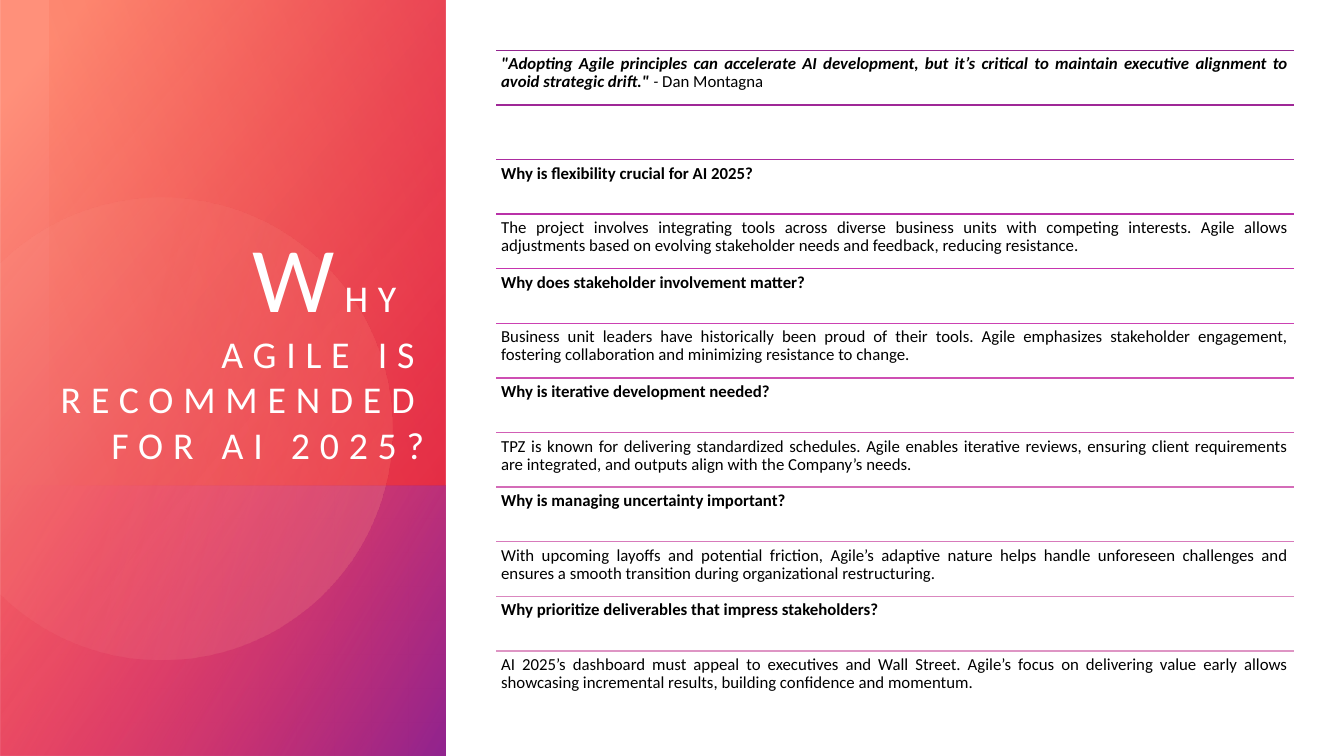
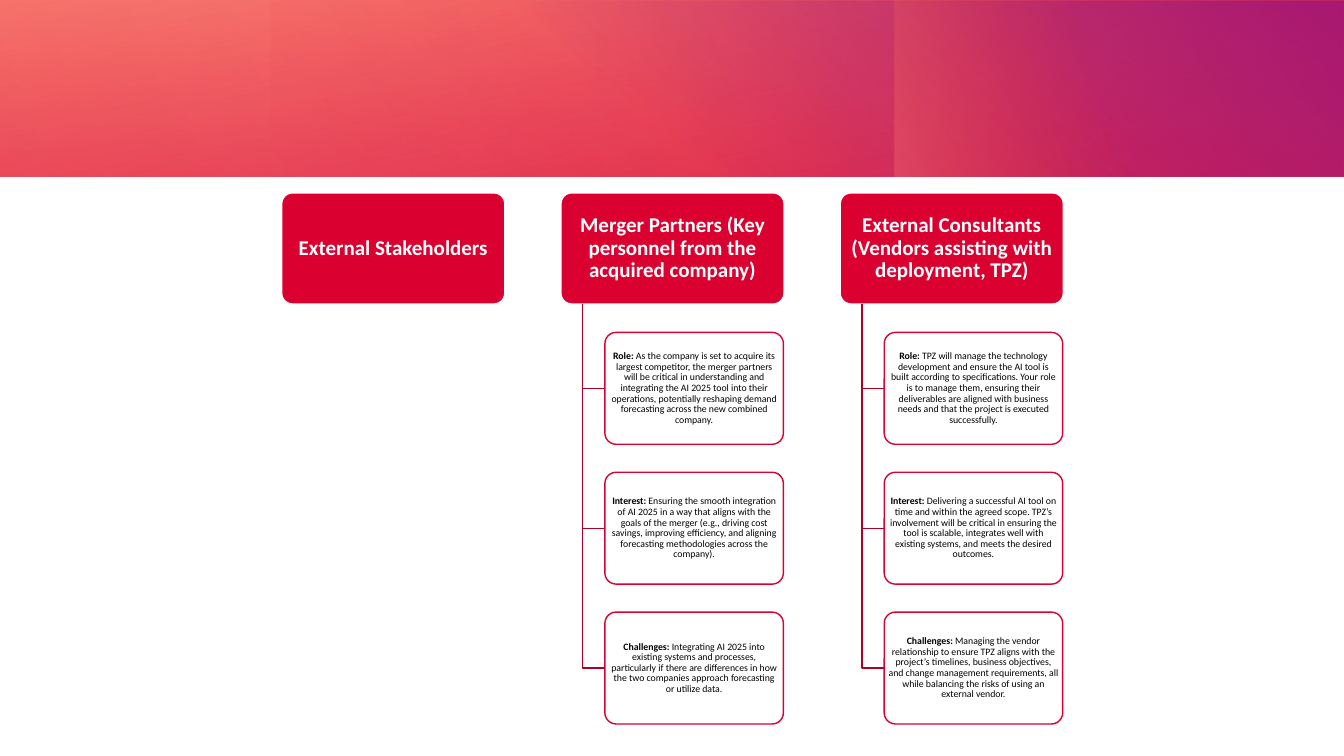
from dataclasses import dataclass
from math import acos, cos, pi, sin
from typing import NamedTuple

from lxml.etree import SubElement
from pptx import Presentation
from pptx.dml.color import RGBColor
from pptx.enum.shapes import MSO_CONNECTOR as Connector, MSO_SHAPE as Preset
from pptx.enum.text import MSO_ANCHOR as Anchor, PP_ALIGN as Align
from pptx.oxml.ns import qn
from pptx.util import Inches, Pt


@dataclass(frozen=True)
class Theme:
    font: str = "Calibri"
    white: str = "FFFFFF"
    black: str = "000000"
    red: str = "DA002F"
    dark_red: str = "AF0026"
    coral: str = "FF907A"
    pink: str = "FF5076"
    peach: str = "FFBCAF"
    orange: str = "FE4A00"
    purple: str = "92248E"
    initial_size: float = 66
    title_size: float = 27
    body_size: float = 12
    header_size: float = 15
    note_size: float = 7
    title_tracking: int = 700


THEME = Theme()


class Stop(NamedTuple):
    position: int
    color: str
    opacity: int = 100


class Panel(NamedTuple):
    left: float
    top: float
    width: float
    height: float
    angle: int
    start: Stop
    end: Stop
    rotation: int = 0
    flipped: bool = False


class Span(NamedTuple):
    text: str
    bold: bool = False
    italic: bool = False


class Row(NamedTuple):
    rule_color: str
    spans: tuple[Span, ...] = ()


class Column(NamedTuple):
    header: str
    notes: tuple[tuple[str, str], ...] = ()


# Content of the question slide
SIDE_PANELS = (
    Panel(-1.54, 1.54, 7.5, 4.42, 50, Stop(8, THEME.coral), Stop(100, THEME.red, 89), 270, True),
    Panel(0.86, 3.95, 2.69, 4.42, 60, Stop(0, THEME.pink, 0), Stop(99, THEME.purple), 270, True),
)
SIDE_GLOW = Panel(0.05, 0.45, 4.81, 3.92, 110, Stop(0, THEME.red, 29),
                  Stop(100, THEME.orange, 0), 90, True)

ROWS = (
    Row(THEME.purple, (
        Span('"Adopting Agile principles can accelerate AI development, but it’s critical to '
             'maintain executive alignment to avoid strategic drift." ', True, True),
        Span("- ", False, True),
        Span("Dan Montagna"))),
    Row("9F2897"),
    Row("AC2CA0", (Span("Why is flexibility crucial for AI 2025?", True),)),
    Row("B931A8", (Span(
        "The project involves integrating tools across diverse business units with competing "
        "interests. Agile allows adjustments based on evolving stakeholder needs and feedback, "
        "reducing resistance."),)),
    Row("C635AF", (Span("Why does stakeholder involvement matter?", True),)),
    Row("CB41B2", (Span(
        "Business unit leaders have historically been proud of their tools. Agile emphasizes "
        "stakeholder engagement, fostering collaboration and minimizing resistance to change."),)),
    Row("CE4FB3", (Span("Why is iterative development needed?", True),)),
    Row("D15EB5", (Span(
        "TPZ is known for delivering standardized schedules. Agile enables iterative reviews, "
        "ensuring client requirements are integrated, and outputs align with the Company’s "
        "needs."),)),
    Row("D46CB8", (Span("Why is managing uncertainty important?", True),)),
    Row("D77ABB", (Span(
        "With upcoming layoffs and potential friction, Agile’s adaptive nature helps handle "
        "unforeseen challenges and ensures a smooth transition during organizational "
        "restructuring."),)),
    Row("DA87BF", (Span("Why prioritize deliverables that impress stakeholders?", True),)),
    Row("DE95C4", (Span(
        "AI 2025’s dashboard must appeal to executives and Wall Street. Agile’s focus on "
        "delivering value early allows showcasing incremental results, building confidence and "
        "momentum."),)),
)

# Content of the stakeholder slide
BAND_PANELS = (
    Panel(0, 0, 13.33, 1.75, 260, Stop(0, THEME.red, 83), Stop(100, THEME.coral)),
    Panel(4.81, 0.01, 8.52, 1.74, 310, Stop(22, THEME.purple, 0), Stop(99, THEME.purple)),
    Panel(9.87, -0.99, 1.75, 3.74, 250, Stop(45, THEME.orange, 0), Stop(99, THEME.coral, 33), 270),
    Panel(2.68, 0, 10.64, 1.75, 330, Stop(0, THEME.red, 30), Stop(99, THEME.red, 0), 180),
    Panel(0, 0, 8.65, 1.75, 340, Stop(0, THEME.red, 21), Stop(99, THEME.red, 0)),
)

COLUMNS = (
    Column("External Stakeholders"),
    Column("Merger Partners (Key personnel from the acquired company)", (
        ("Role:", "As the company is set to acquire its largest competitor, the merger partners "
         "will be critical in understanding and integrating the AI 2025 tool into their "
         "operations, potentially reshaping demand forecasting across the new combined company."),
        ("Interest:", "Ensuring the smooth integration of AI 2025 in a way that aligns with the "
         "goals of the merger (e.g., driving cost savings, improving efficiency, and aligning "
         "forecasting methodologies across the company)."),
        ("Challenges:", "Integrating AI 2025 into existing systems and processes, particularly "
         "if there are differences in how the two companies approach forecasting or utilize "
         "data."))),
    Column("External Consultants (Vendors assisting with deployment, TPZ)", (
        ("Role:", "TPZ will manage the technology development and ensure the AI tool is built "
         "according to specifications. Your role is to manage them, ensuring their deliverables "
         "are aligned with business needs and that the project is executed successfully."),
        ("Interest:", "Delivering a successful AI tool on time and within the agreed scope. "
         "TPZ’s involvement will be critical in ensuring the tool is scalable, integrates well "
         "with existing systems, and meets the desired outcomes."),
        ("Challenges:", "Managing the vendor relationship to ensure TPZ aligns with the "
         "project’s timelines, business objectives, and change management requirements, all "
         "while balancing the risks of using an external vendor."))),
)


# Shared drawing functions
def set_gradient(shape, angle: int, stops: tuple[Stop, Stop]) -> None:
    shape.shadow.inherit = False
    shape.line.fill.background()
    shape.fill.gradient()
    shape.fill.gradient_angle = (360 - angle) % 360
    for target, stop in zip(shape.fill.gradient_stops, stops):
        target.position = stop.position / 100
        target.color.rgb = RGBColor.from_string(stop.color)
    for color, stop in zip(shape._element.spPr.xpath(".//a:srgbClr"), stops):
        SubElement(color, qn("a:alpha")).set("val", str(stop.opacity * 1000))


def add_panel(page, panel: Panel) -> None:
    shape = page.shapes.add_shape(Preset.RECTANGLE, Inches(panel.left), Inches(panel.top),
                                  Inches(panel.width), Inches(panel.height))
    set_gradient(shape, panel.angle, (panel.start, panel.end))
    shape.rotation = panel.rotation
    if panel.flipped:
        shape._element.spPr.xfrm.set("flipH", "1")


def format_run(run, size: float, color: str, bold: bool = False, italic: bool = False) -> None:
    font = run.font
    font.name, font.size, font.bold, font.italic = THEME.font, Pt(size), bold, italic
    font.color.rgb = RGBColor.from_string(color)


def set_frame(frame, anchor, inset_x: float, inset_y: float) -> None:
    frame.word_wrap = True
    frame.vertical_anchor = anchor
    frame.margin_left = frame.margin_right = Inches(inset_x)
    frame.margin_top = frame.margin_bottom = Inches(inset_y)


def write_spans(frame, spans: tuple[Span, ...], size: float, color: str, align) -> None:
    para = frame.paragraphs[0]
    para.alignment = align
    para.line_spacing = 0.9
    for span in spans:
        run = para.add_run()
        run.text = span.text
        format_run(run, size, color, span.bold, span.italic)


# Question slide
def add_circle(page) -> None:
    """Draw the disc that is cut off by the left edge of the page."""
    center_x, center_y, radius, steps = 1.6, 4.25, 2.29, 120
    reach = acos(-center_x / radius)
    angles = (reach * (2 * step / steps - 1) for step in range(steps + 1))
    points = [(Inches(center_x + radius * cos(angle)), Inches(center_y + radius * sin(angle)))
              for angle in angles]
    builder = page.shapes.build_freeform(*points[0])
    builder.add_line_segments(points[1:], close=True)
    set_gradient(builder.convert_to_shape(), 14, (Stop(36, THEME.peach, 6),
                                                  Stop(100, THEME.coral, 26)))


def add_title(page) -> None:
    box = page.shapes.add_textbox(Inches(0.5), Inches(0.95), Inches(3.71), Inches(3.68))
    set_frame(box.text_frame, Anchor.BOTTOM, 0, 0)
    para = box.text_frame.paragraphs[0]
    para.alignment = Align.RIGHT
    para.text = "W"
    para.add_run().text = "HY "
    para.add_line_break()
    para.add_run().text = "AGILE IS RECOMMENDED FOR AI 2025?"
    sizes = (THEME.initial_size, THEME.title_size, THEME.title_size)
    for run, size in zip(para.runs, sizes):
        format_run(run, size, THEME.white)
        run.font._element.set("spc", str(THEME.title_tracking))


def add_row(page, row: Row, top: float, height: float) -> None:
    left, width = 4.92, 7.91
    rule = page.shapes.add_connector(Connector.STRAIGHT, Inches(left), Inches(top),
                                     Inches(left + width), Inches(top))
    rule.line.color.rgb = RGBColor.from_string(row.rule_color)
    rule.line.width = Pt(1)
    SubElement(rule._element.spPr, qn("a:effectLst"))
    if row.spans:
        box = page.shapes.add_textbox(Inches(left), Inches(top), Inches(width), Inches(height))
        set_frame(box.text_frame, Anchor.TOP, 0.05, 0.05)
        write_spans(box.text_frame, row.spans, THEME.body_size, THEME.black, Align.JUSTIFY)


def build_questions(page) -> None:
    for panel in SIDE_PANELS:
        add_panel(page, panel)
    add_circle(page)
    add_panel(page, SIDE_GLOW)
    add_title(page)
    height = 6.5 / len(ROWS)
    for index, row in enumerate(ROWS):
        add_row(page, row, 0.5 + index * height, height)


# Stakeholder slide
CARD_HEIGHT = 1.11


def add_card(page, left: float, top: float, width: float, fill: str, line: str,
             line_width: float):
    card = page.shapes.add_shape(Preset.ROUNDED_RECTANGLE, Inches(left), Inches(top),
                                 Inches(width), Inches(CARD_HEIGHT))
    card.adjustments[0] = 0.1
    card.shadow.inherit = False
    card.fill.solid()
    card.fill.fore_color.rgb = RGBColor.from_string(fill)
    card.line.color.rgb = RGBColor.from_string(line)
    card.line.width = Pt(line_width)
    return card


def add_branch(page, left: float, top: float, right: float, bottom: float) -> None:
    builder = page.shapes.build_freeform(Inches(left), Inches(top))
    builder.add_line_segments([(Inches(left), Inches(bottom)), (Inches(right), Inches(bottom))],
                              close=False)
    branch = builder.convert_to_shape()
    branch.shadow.inherit = False
    branch.fill.background()
    branch.line.color.rgb = RGBColor.from_string(THEME.dark_red)
    branch.line.width = Pt(1)


def add_column(page, column: Column, left: float) -> None:
    top, indent = 1.91, 0.22
    header = add_card(page, left, top, 2.22, THEME.red, THEME.white, 1.5)
    set_frame(header.text_frame, Anchor.MIDDLE, 0.03, 0.02)
    write_spans(header.text_frame, (Span(column.header, True),), THEME.header_size,
                THEME.white, Align.CENTER)
    for index, (label, detail) in enumerate(column.notes, start=1):
        note_left, note_top = left + 2 * indent - 0.01 * 0, top + index * CARD_HEIGHT * 1.25
        add_branch(page, left + indent, top + CARD_HEIGHT, note_left, note_top + CARD_HEIGHT / 2)
        note = add_card(page, note_left, note_top, 1.77, THEME.white, THEME.red, 1)
        set_frame(note.text_frame, Anchor.MIDDLE, 0.01, 0.01)
        write_spans(note.text_frame, (Span(label, True), Span(" " + detail)), THEME.note_size,
                    THEME.black, Align.CENTER)


def build_stakeholders(page) -> None:
    for panel in BAND_PANELS:
        add_panel(page, panel)
    for index, column in enumerate(COLUMNS):
        add_column(page, column, 2.79 + 2.77 * index)


def main() -> None:
    deck = Presentation()
    deck.slide_width, deck.slide_height = Inches(13.33), Inches(7.5)
    for build in (build_questions, build_stakeholders):
        build(deck.slides.add_slide(deck.slide_layouts[6]))
    deck.save("out.pptx")


if __name__ == "__main__":
    main()
